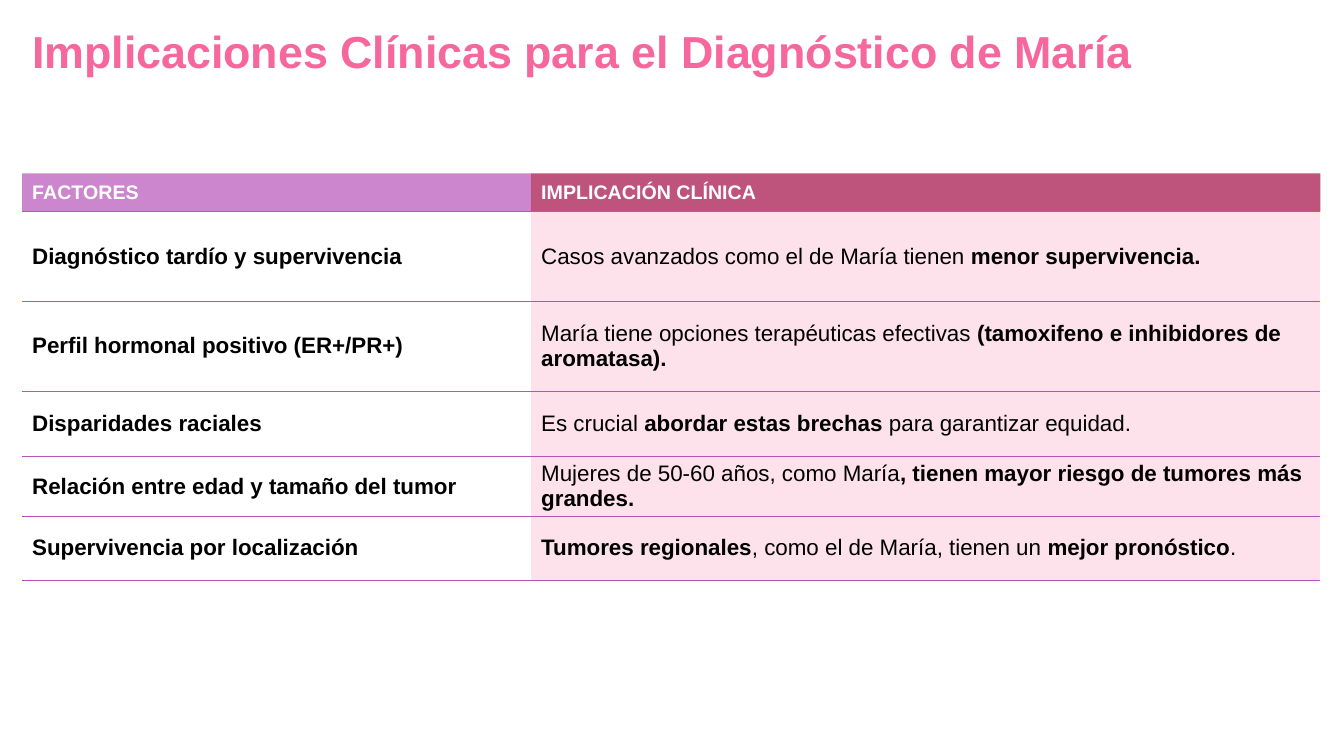
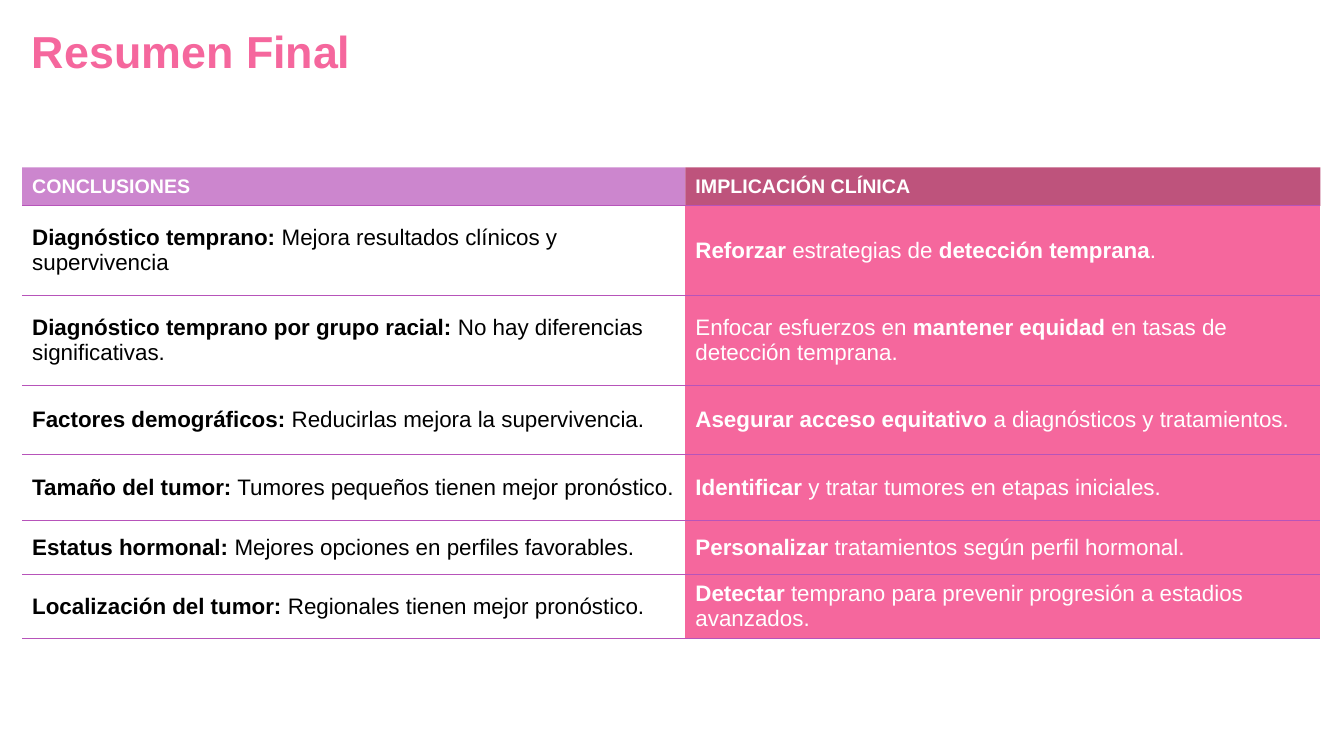
from lxml.etree import SubElement
from pptx import Presentation
from pptx.dml.color import RGBColor
from pptx.enum.text import MSO_ANCHOR, MSO_AUTO_SIZE
from pptx.oxml.ns import qn
from pptx.util import Pt

COLORS = {
    "pink": "F5679D",
    "pale": "FDE1EB",
    "purple": "B754BA",
    "wine": "A30B45",
    "white": "FFFFFF",
    "black": "000000",
}
FONT = "Arial"
PLAIN_TABLE_STYLE = "{2D5ABB26-0587-4C30-8999-92F81FD0307C}"
LEFT = 15.8
TABLE_WIDTH = 927.4

SLIDES = [
    {
        "title": "Implicaciones Clínicas para el Diagnóstico de María",
        "title_width": 862.6,
        "top": 123.8,
        "first_column": 363.6,
        "heights": [27.4, 64.1, 64.1, 46.8, 38.9, 45.4],
        "fill": "pale",
        "text": "black",
        "rows": [
            ("*FACTORES*", "*IMPLICACIÓN CLÍNICA*"),
            ("*Diagnóstico tardío y supervivencia*",
             "Casos avanzados como el de María tienen *menor supervivencia.*"),
            ("*Perfil hormonal positivo (ER+/PR+)*",
             "María tiene opciones terapéuticas efectivas *(tamoxifeno e inhibidores de aromatasa).*"),
            ("*Disparidades raciales*",
             "Es crucial *abordar estas brechas *para garantizar equidad."),
            ("*Relación entre edad y tamaño del tumor*",
             "Mujeres de 50-60 años, como María*, tienen mayor riesgo de tumores más grandes.*"),
            ("*Supervivencia por localización*",
             "*Tumores regionales*, como el de María, tienen un *mejor pronóstico*."),
        ],
    },
    {
        "title": "Resumen Final",
        "title_width": 479.5,
        "top": 119.6,
        "first_column": 473.8,
        "heights": [27.4, 64.1, 64.1, 49.7, 46.8, 38.9, 45.4],
        "fill": "pink",
        "text": "white",
        "rows": [
            ("*CONCLUSIONES*", "*IMPLICACIÓN CLÍNICA*"),
            ("*Diagnóstico temprano:* Mejora resultados clínicos y supervivencia",
             "*Reforzar* estrategias de *detección temprana*."),
            ("*Diagnóstico temprano por grupo racial: *No hay diferencias significativas.",
             "Enfocar esfuerzos en *mantener equidad *en tasas de detección temprana."),
            ("*Factores demográficos:* Reducirlas mejora la supervivencia.",
             "*Asegurar acceso equitativo *a diagnósticos y tratamientos."),
            ("*Tamaño del tumor:* Tumores pequeños tienen mejor pronóstico.",
             "*Identificar* y tratar tumores en etapas iniciales."),
            ("*Estatus hormonal:* Mejores opciones en perfiles favorables.",
             "*Personalizar* tratamientos según perfil hormonal."),
            ("*Localización del tumor:* Regionales tienen mejor pronóstico.",
             "*Detectar* temprano para prevenir progresión a estadios avanzados."),
        ],
    },
]


def write_text(paragraph, marked_text, size, color):
    for index, part in enumerate(marked_text.split("*")):
        if part:
            run = paragraph.add_run()
            run.text = part
            run.font.name = FONT
            run.font.size = Pt(size)
            run.font.bold = index % 2 == 1
            run.font.color.rgb = RGBColor.from_string(COLORS[color])


def add_border(cell, side, width):
    properties = cell._tc.get_or_add_tcPr()
    line = SubElement(properties, qn(f"a:{side}"), w=str(Pt(width)))
    fill = SubElement(line, qn("a:solidFill"))
    SubElement(fill, qn("a:srgbClr"), val=COLORS["purple"])


presentation = Presentation()
presentation.slide_width = Pt(960)
presentation.slide_height = Pt(540)

for content in SLIDES:
    slide = presentation.slides.add_slide(presentation.slide_layouts[6])

    rows = content["rows"]
    frame = slide.shapes.add_table(
        len(rows), 2, Pt(LEFT), Pt(content["top"]),
        Pt(TABLE_WIDTH), Pt(sum(content["heights"])))
    table = frame.table
    table.horz_banding = False
    table._tbl.tblPr.find(qn("a:tableStyleId")).text = PLAIN_TABLE_STYLE
    table.columns[0].width = Pt(content["first_column"])
    table.columns[1].width = Pt(TABLE_WIDTH - content["first_column"])

    for row_index, row in enumerate(rows):
        table.rows[row_index].height = Pt(content["heights"][row_index])
        header = row_index == 0
        for column_index, marked_text in enumerate(row):
            cell = table.cell(row_index, column_index)
            cell.vertical_anchor = MSO_ANCHOR.MIDDLE
            if not header:
                add_border(cell, "lnT", 1 if row_index == 1 else 0.75)
            add_border(cell, "lnB", 1 if header else 0.75)

            if header:
                fill, color = ("purple", "wine")[column_index], "white"
            else:
                fill = ("white", content["fill"])[column_index]
                color = ("black", content["text"])[column_index]
            if fill == "white":
                cell.fill.background()
            else:
                cell.fill.solid()
                cell.fill.fore_color.rgb = RGBColor.from_string(COLORS[fill])
            if header:
                solid_fill = cell._tc.tcPr.find(qn("a:solidFill"))
                SubElement(solid_fill[0], qn("a:alpha"), val="70000")
            write_text(cell.text_frame.paragraphs[0], marked_text, 14 if header else 16, color)

    title = slide.shapes.add_textbox(Pt(LEFT), Pt(13.7), Pt(content["title_width"]), Pt(46))
    title.text_frame.word_wrap = True
    title.text_frame.auto_size = MSO_AUTO_SIZE.SHAPE_TO_FIT_TEXT
    write_text(title.text_frame.paragraphs[0], f"*{content['title']}*", 32, "pink")

presentation.save("out.pptx")
